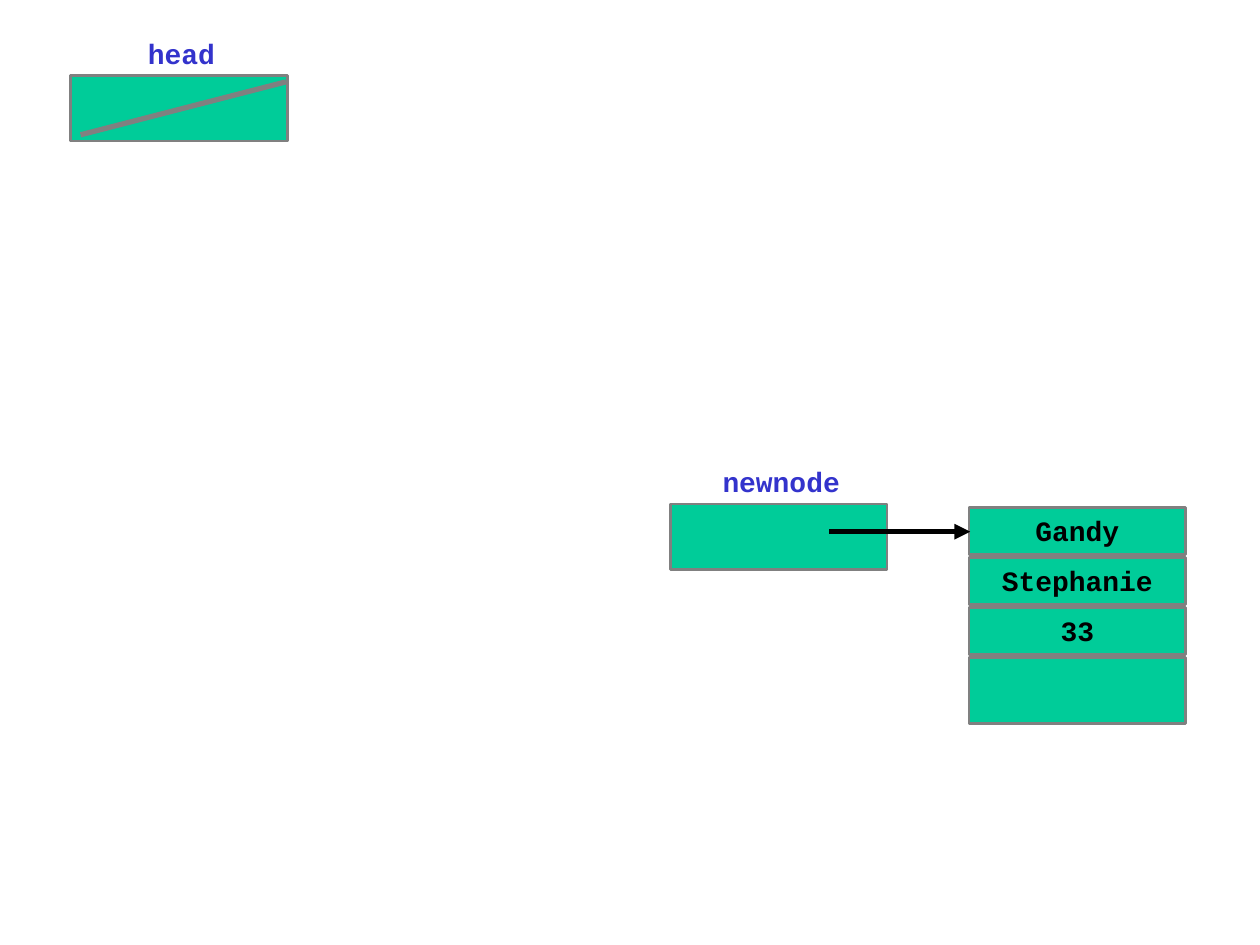
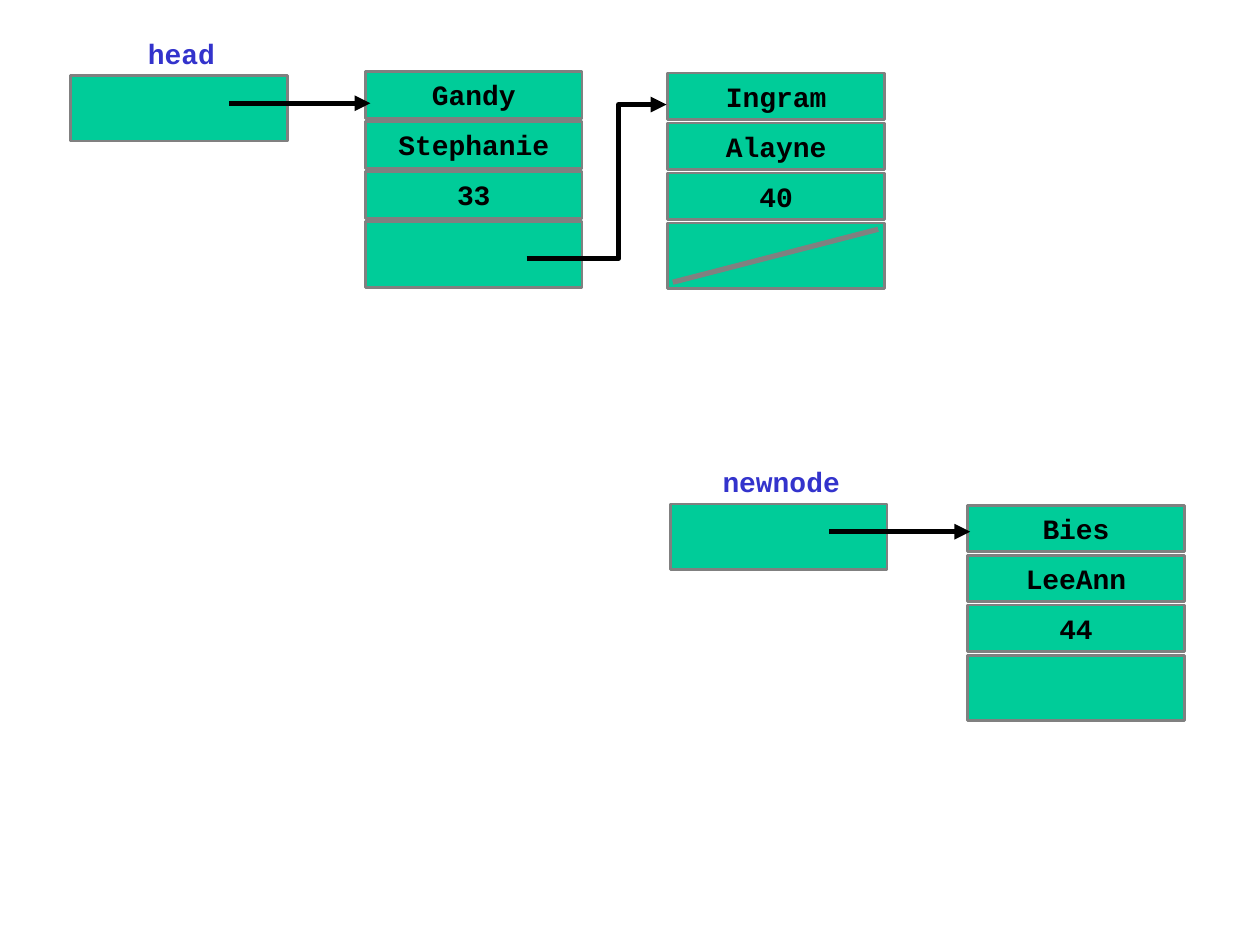
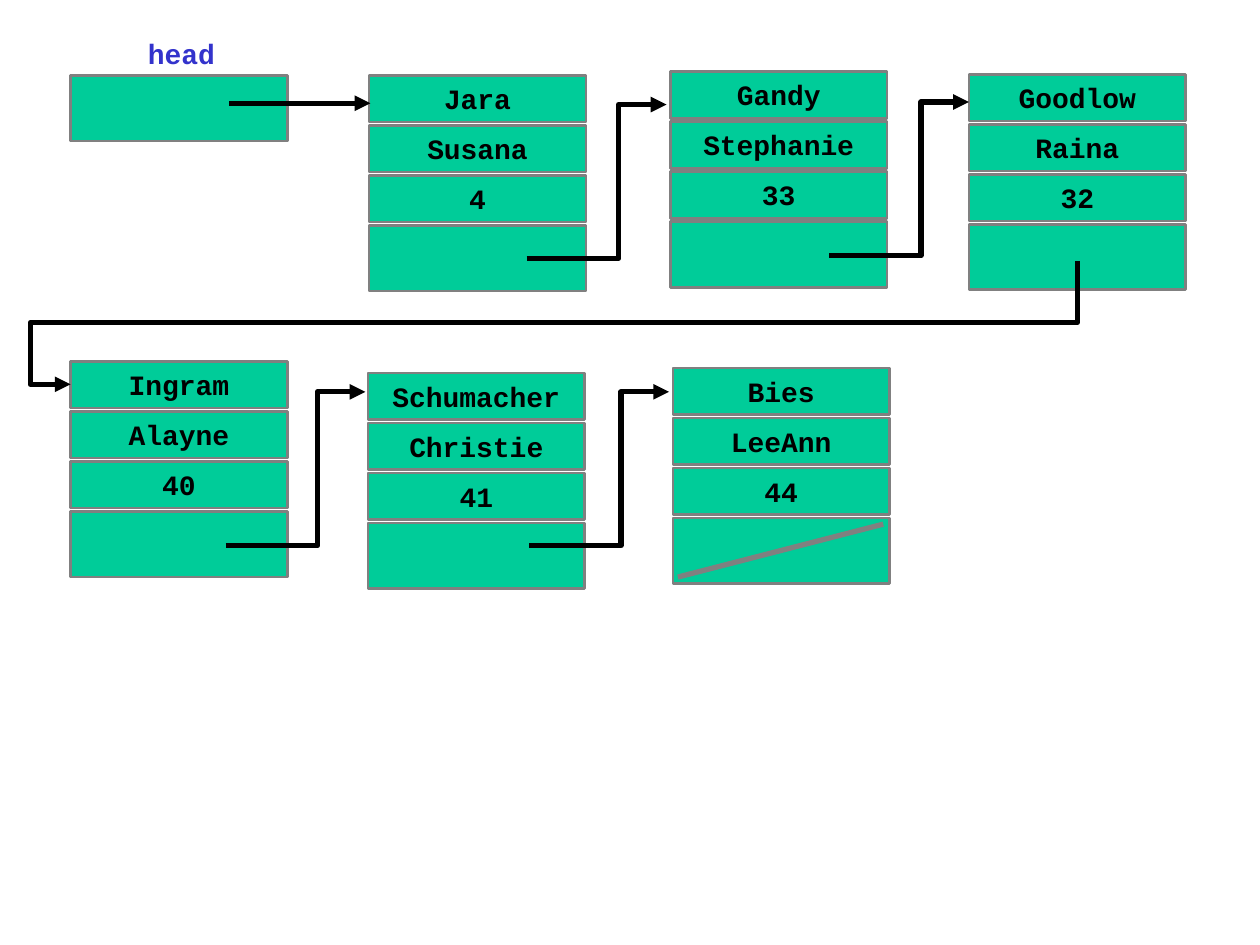
from dataclasses import dataclass

from lxml import etree
from pptx import Presentation
from pptx.dml.color import RGBColor
from pptx.enum.shapes import MSO_CONNECTOR, MSO_SHAPE
from pptx.enum.text import MSO_ANCHOR, PP_ALIGN
from pptx.oxml.ns import qn
from pptx.util import Inches, Pt

RECTANGLE = MSO_SHAPE.RECTANGLE
STRAIGHT = MSO_CONNECTOR.STRAIGHT
TOP = MSO_ANCHOR.TOP
CENTER = PP_ALIGN.CENTER

BLANK_LAYOUT = 6
BOX_WIDTH = 1.72
FIELD_HEIGHT = 0.37
POINTER_HEIGHT = 0.52
POINTER_OFFSET = 1.19  # from the top of a node to its pointer field


@dataclass(frozen=True)
class Theme:
    cell: RGBColor = RGBColor(0x00, 0xCC, 0x99)
    border: RGBColor = RGBColor(0x80, 0x80, 0x80)
    ink: RGBColor = RGBColor(0x00, 0x00, 0x00)
    label: RGBColor = RGBColor(0x33, 0x33, 0xCC)
    font: str = "Courier New"
    text_size: Pt = Pt(16)
    border_width: Pt = Pt(1.5)
    stroke_width: Pt = Pt(3)


class ListDiagram:
    """Draws linked-list variables, nodes and pointers on the current slide."""

    def __init__(self, deck, theme):
        self.deck = deck
        self.theme = theme
        self.slide = None

    def new_slide(self):
        self.slide = self.deck.slides.add_slide(self.deck.slide_layouts[BLANK_LAYOUT])

    def add_words(self, shape, words, color):
        frame = shape.text_frame
        frame.word_wrap = True
        frame.vertical_anchor = TOP
        paragraph = frame.paragraphs[0]
        paragraph.alignment = CENTER
        run = paragraph.add_run()
        run.text = words
        run.font.name = self.theme.font
        run.font.size = self.theme.text_size
        run.font.bold = True
        run.font.color.rgb = color

    def box(self, shapes, left, top, height):
        cell = shapes.add_shape(RECTANGLE, Inches(left), Inches(top),
                                Inches(BOX_WIDTH), Inches(height))
        cell.shadow.inherit = False
        cell.fill.solid()
        cell.fill.fore_color.rgb = self.theme.cell
        cell.line.color.rgb = self.theme.border
        cell.line.width = self.theme.border_width
        return cell

    def stroke(self, shape, color, arrow):
        shape.line.color.rgb = color
        shape.line.width = self.theme.stroke_width
        if arrow:
            outline = shape.element.spPr.find(qn("a:ln"))
            etree.SubElement(outline, qn("a:tailEnd"), type="triangle")

    def line(self, start, end, color, arrow=False):
        connector = self.slide.shapes.add_connector(
            STRAIGHT, *(Inches(value) for value in (*start, *end)))
        self.stroke(connector, color, arrow)
        etree.SubElement(connector.element.spPr, qn("a:effectLst"))

    def route(self, *points):
        """Draw an arrow with corners through the given points."""
        start, *rest = [(Inches(x), Inches(y)) for x, y in points]
        builder = self.slide.shapes.build_freeform(*start)
        builder.add_line_segments(rest, close=False)
        arrow = builder.convert_to_shape()
        arrow.shadow.inherit = False
        arrow.fill.background()
        self.stroke(arrow, self.theme.ink, arrow=True)

    def next_link(self, left, bottom):
        """Draw the arrow from a pointer field up to the node on its right."""
        bend, top = left + 0.73, bottom - 1.22
        self.route((left, bottom), (bend, bottom), (bend, top), (left + 1.11, top))

    def null_slash(self, left, bottom):
        self.line((left, bottom), (left + 1.63, bottom - 0.42), self.theme.border)

    def variable(self, name, left, top, is_null=False):
        self.box(self.slide.shapes, left, top, POINTER_HEIGHT)
        caption = self.slide.shapes.add_textbox(Inches(left), Inches(top - 0.36),
                                                Inches(1.76), Inches(FIELD_HEIGHT))
        self.add_words(caption, name, self.theme.label)
        if is_null:
            self.null_slash(left + 0.08, top + 0.47)
        else:
            y = top + 0.22
            self.line((left + 1.26, y), (left + 2.38, y), self.theme.ink, arrow=True)

    def head(self, is_null=False):
        self.variable("head", 0.56, 0.6, is_null)

    def newnode(self):
        self.variable("newnode", 5.32, 4)

    def node(self, left, top, *fields, is_last=False):
        shapes = self.slide.shapes.add_group_shape().shapes
        pitch = POINTER_OFFSET / len(fields)
        for row, field in enumerate(fields):
            cell = self.box(shapes, left, top + row * pitch, FIELD_HEIGHT)
            self.add_words(cell, field, self.theme.ink)
        self.box(shapes, left, top + POINTER_OFFSET, POINTER_HEIGHT)
        if is_last:
            self.null_slash(left + 0.04, top + POINTER_OFFSET + 0.47)


def empty_list(diagram):
    diagram.new_slide()
    diagram.node(7.69, 4.03, "Gandy", "Stephanie", "33")
    diagram.head(is_null=True)
    diagram.newnode()


def insert_at_end(diagram):
    diagram.new_slide()
    diagram.node(2.9, 0.57, "Gandy", "Stephanie", "33")
    diagram.node(5.3, 0.58, "Ingram", "Alayne", "40", is_last=True)
    diagram.node(7.68, 4.01, "Bies", "LeeAnn", "44")
    diagram.head()
    diagram.newnode()
    diagram.next_link(4.18, 2.05)


def full_list(diagram):
    diagram.new_slide()
    diagram.node(2.93, 0.6, "Jara", "Susana", "4")
    diagram.node(5.32, 0.57, "Gandy", "Stephanie", "33")
    diagram.node(7.69, 0.59, "Goodlow", "Raina", "32")
    diagram.node(0.56, 2.87, "Ingram", "Alayne", "40")
    diagram.node(2.92, 2.96, "Schumacher", "Christie", "41")
    diagram.node(5.34, 2.92, "Bies", "LeeAnn", "44", is_last=True)
    diagram.head()
    for left, bottom in ((4.18, 2.05), (6.58, 2.03), (1.79, 4.33), (4.2, 4.33)):
        diagram.next_link(left, bottom)
    diagram.route((8.55, 2.07), (8.55, 2.56), (0.24, 2.56), (0.24, 3.05), (0.56, 3.05))


def main():
    deck = Presentation()
    deck.slide_width = Inches(10)
    deck.slide_height = Inches(7.5)
    diagram = ListDiagram(deck, Theme())
    empty_list(diagram)
    insert_at_end(diagram)
    full_list(diagram)
    deck.save("out.pptx")


if __name__ == "__main__":
    main()
